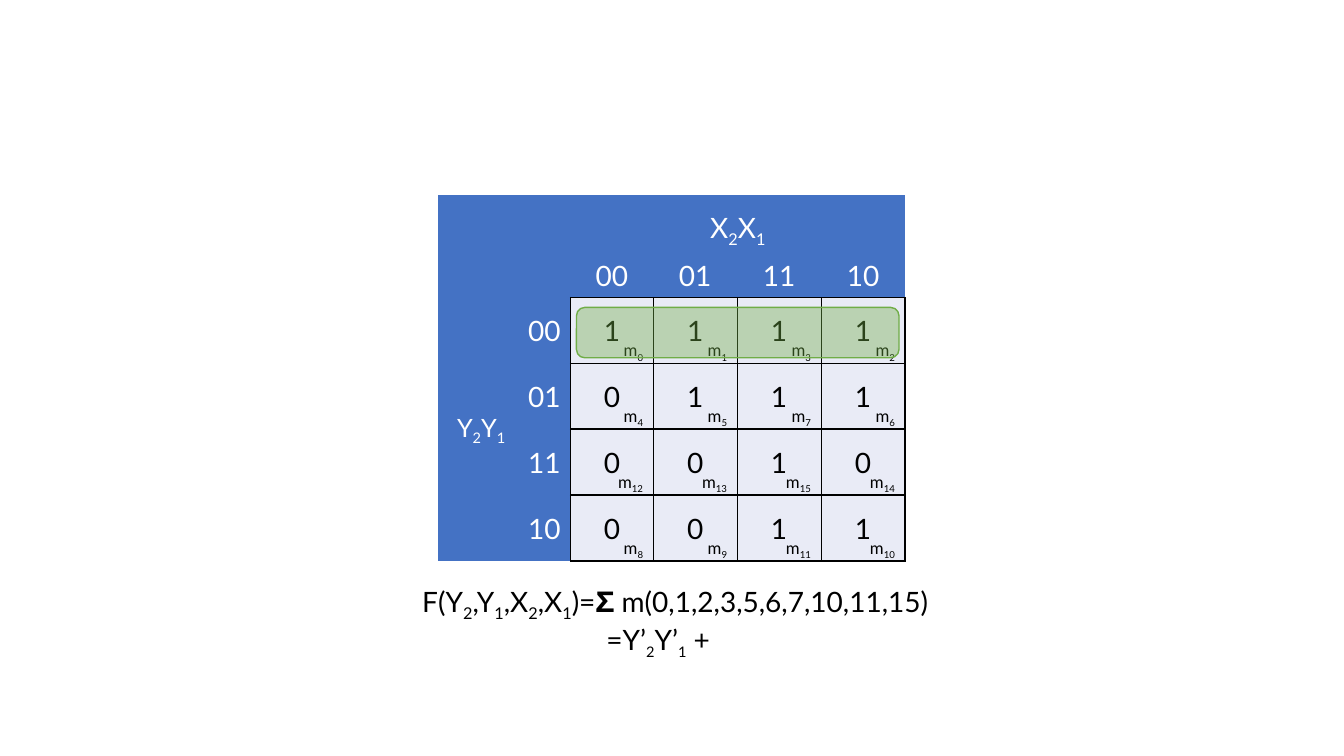
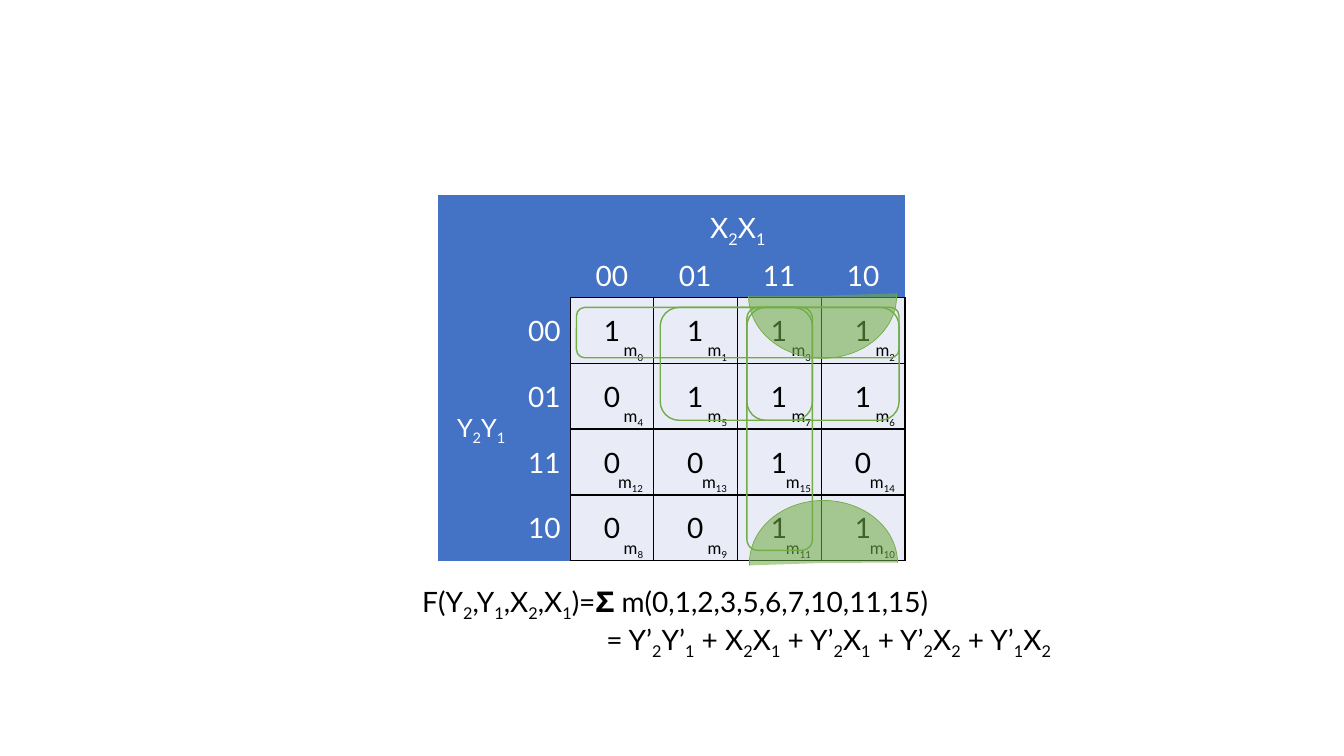
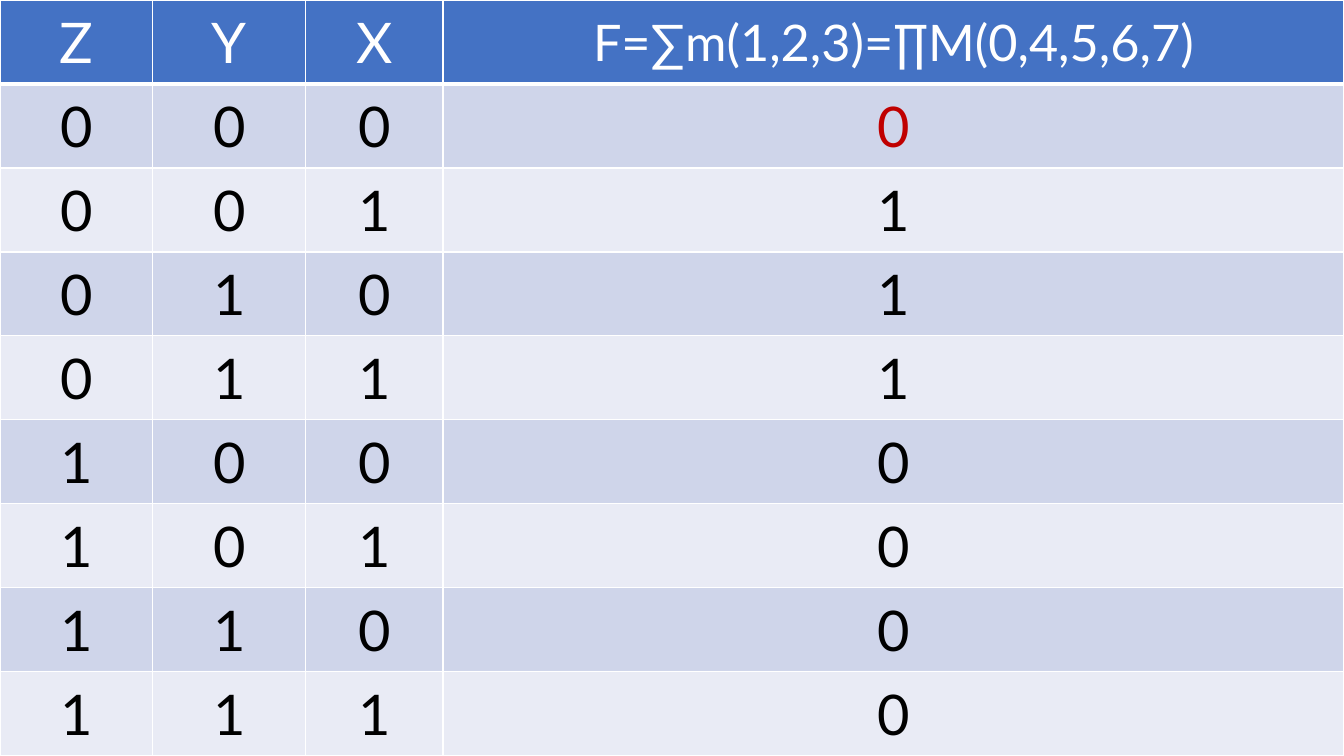
"""Build two Karnaugh map slides and one truth table slide."""
import itertools

import lxml.etree
import pptx
import pptx.dml.color
import pptx.enum.shapes
import pptx.enum.text
import pptx.oxml.ns
import pptx.util

Pt = pptx.util.Pt
RGBColor = pptx.dml.color.RGBColor
ALIGN = pptx.enum.text.PP_ALIGN
ANCHOR = pptx.enum.text.MSO_ANCHOR
PRESET = pptx.enum.shapes.MSO_SHAPE
qn = pptx.oxml.ns.qn

FONT = "Lato"
BLACK = RGBColor(0x00, 0x00, 0x00)
WHITE = RGBColor(0xFF, 0xFF, 0xFF)
BLUE = RGBColor(0x44, 0x72, 0xC4)
GREEN = RGBColor(0x70, 0xAD, 0x47)
RED = RGBColor(0xC0, 0x00, 0x00)
MAP_FILL = RGBColor(0xE9, 0xEB, 0xF6)
BAND_FILLS = (RGBColor(0xCF, 0xD5, 0xEA), RGBColor(0xE9, 0xEB, 0xF5))

# Text between bars is set as subscript.
GRAY_CODES = ("00", "01", "11", "10")
COLUMN_VARIABLES = "X|2|X|1|"
ROW_VARIABLES = "Y|2|Y|1|"
MINTERMS = ((0, 1, 3, 2), (4, 5, 7, 6), (12, 13, 15, 14), (8, 9, 11, 10))
ONES = (0, 1, 2, 3, 5, 6, 7, 10, 11, 15)
FUNCTION = "F(Y|2|,Y|1|,X|2|,X|1|)=𝚺 m(" + ",".join(map(str, ONES)) + ")"

ROW_LOOP = (411.8, 219.6, 230.4, 36)
COLUMN_LOOP = (533.5, 219.6, 46.8, 173.5)
LEFT_SQUARE_LOOP = (471.6, 219.6, 108.7, 80.6)
RIGHT_SQUARE_LOOP = (533.5, 219.6, 108.7, 80.6)
BOTTOM_ARC = (543.6, 349.2, 89.3, 105.8, 270)
TOP_ARC = (542.9, 158.4, 89.3, 105.8, 90)

MAPS = (
    {"result": "=Y’|2|Y’|1| +", "subscript_size": 18, "width": 409.7,
     "loops": (ROW_LOOP,), "loop_opacity": 39, "arcs": ()},
    {"result": "= Y’|2|Y’|1| + X|2|X|1| + Y’|2|X|1| + Y’|2|X|2| + Y’|1|X|2|",
     "subscript_size": 20, "width": 495.4,
     "loops": (ROW_LOOP, COLUMN_LOOP, LEFT_SQUARE_LOOP, RIGHT_SQUARE_LOOP),
     "loop_opacity": 0, "arcs": (BOTTOM_ARC, TOP_ARC)},
)

TRUTH_HEADER = ("Z", "Y", "X", "F=∑m(1,2,3)=∏M(0,4,5,6,7)")
TRUTH_ONES = (1, 2, 3)

MAP_LEFT, MAP_TOP = 407.6, 212.4
LABEL_WIDTHS, LABEL_HEIGHTS = (55, 39.4), (42, 31)
VALUE_WIDTHS, VALUE_HEIGHTS = (59, 60, 60, 60), (47,) * 4
TRUTH_WIDTHS, TRUTH_HEIGHTS = (109.2, 109.2, 98, 643.6), (60,) * 9


def write_text(paragraph, text, size=20, color=BLACK, align=ALIGN.LEFT, subscript_size=None):
    """Write text into a paragraph, with barred parts as subscripts."""
    paragraph.alignment = align
    for index, part in enumerate(text.split("|")):
        if not part:
            continue
        run = paragraph.add_run()
        run.text = part
        run.font.name = FONT
        run.font.color.rgb = color
        run.font.size = Pt(size)
        if index % 2:
            run.font.size = Pt(subscript_size or size)
            run.font._element.set("baseline", "-25000")


def add_plain_table(slide, left, top, widths, heights):
    """Add a table without style bands."""
    frame = slide.shapes.add_table(len(heights), len(widths), Pt(left), Pt(top),
                                   Pt(sum(widths)), Pt(sum(heights)))
    table = frame.table
    table.first_row = False
    table.horz_banding = False
    for column, width in zip(table.columns, widths):
        column.width = Pt(width)
    for row, height in zip(table.rows, heights):
        row.height = Pt(height)
    return table


def format_cell(cell, text="", fill=None, anchor=ANCHOR.MIDDLE, sides="LRTB",
                border=BLACK, bottom_width=1, **text_format):
    """Set the borders, fill and text of a cell."""
    properties = cell._tc.get_or_add_tcPr()
    for side in "LRTB":
        width = bottom_width if side == "B" else 1
        line = lxml.etree.SubElement(properties, qn(f"a:ln{side}"), w=str(Pt(width)))
        if side in sides:
            solid = lxml.etree.SubElement(line, qn("a:solidFill"))
            lxml.etree.SubElement(solid, qn("a:srgbClr"), val=str(border))
        else:
            lxml.etree.SubElement(line, qn("a:noFill"))
    if fill is None:
        cell.fill.background()
    else:
        cell.fill.solid()
        cell.fill.fore_color.rgb = fill
    cell.vertical_anchor = anchor
    if text:
        write_text(cell.text_frame.paragraphs[0], text, **text_format)


def add_green_shape(slide, preset, box, opacity, line_width):
    """Add a green outline with an optional translucent fill."""
    shape = slide.shapes.add_shape(preset, *map(Pt, box))
    shape.shadow.inherit = False
    shape.line.color.rgb = GREEN
    shape.line.width = Pt(line_width)
    if opacity:
        shape.fill.solid()
        shape.fill.fore_color.rgb = GREEN
        color = shape.fill._xPr.find(qn("a:solidFill"))[0]
        lxml.etree.SubElement(color, qn("a:alpha"), val=str(opacity * 1000))
    else:
        shape.fill.background()
    return shape


def add_value_table(slide):
    """Add the map with its blue headings and its values."""
    table = add_plain_table(slide, MAP_LEFT - sum(LABEL_WIDTHS), MAP_TOP - sum(LABEL_HEIGHTS),
                            LABEL_WIDTHS + VALUE_WIDTHS, LABEL_HEIGHTS + VALUE_HEIGHTS)
    table.cell(0, 2).merge(table.cell(0, 5))
    table.cell(2, 0).merge(table.cell(5, 0))
    labels = {(0, 2): COLUMN_VARIABLES, (2, 0): ROW_VARIABLES}
    for index, code in enumerate(GRAY_CODES, 2):
        labels[1, index] = labels[index, 1] = code
    for row, column in itertools.product(range(6), repeat=2):
        cell = table.cell(row, column)
        if row >= 2 and column >= 2:
            value = int(MINTERMS[row - 2][column - 2] in ONES)
            format_cell(cell, str(value), MAP_FILL, align=ALIGN.CENTER)
            continue
        is_heading = row < 2
        sides = "B" if row == 1 and column >= 2 else "R" if row >= 2 and column == 1 else ""
        format_cell(cell, labels.get((row, column), ""), BLUE, sides=sides, color=WHITE,
                    anchor=ANCHOR.BOTTOM if is_heading else ANCHOR.MIDDLE,
                    align=ALIGN.CENTER if is_heading else ALIGN.RIGHT,
                    size=18 if (row, column) == (2, 0) else 20)


def add_minterm_table(slide):
    """Add the minterm names over the map values."""
    table = add_plain_table(slide, MAP_LEFT, MAP_TOP, VALUE_WIDTHS, VALUE_HEIGHTS)
    for row, column in itertools.product(range(4), repeat=2):
        cell = table.cell(row, column)
        cell.margin_bottom = Pt(0)
        format_cell(cell, f"m|{MINTERMS[row][column]}|", anchor=ANCHOR.BOTTOM,
                    size=12, align=ALIGN.RIGHT)


def add_map_slide(slide, content):
    """Fill a slide with a map, its formula and its loops."""
    add_value_table(slide)
    formula = slide.shapes.add_textbox(Pt(294.5), Pt(414), Pt(content["width"]), Pt(55.4))
    formula.text_frame.word_wrap = True
    write_text(formula.text_frame.paragraphs[0], FUNCTION)
    result = formula.text_frame.add_paragraph()
    result._p.get_or_add_pPr().set("marL", str(Pt(131.5)))
    write_text(result, content["result"], subscript_size=content["subscript_size"])
    add_minterm_table(slide)
    for loop in content["loops"]:
        add_green_shape(slide, PRESET.ROUNDED_RECTANGLE, loop, content["loop_opacity"], 1)
    for *box, rotation in content["arcs"]:
        arc = add_green_shape(slide, PRESET.ARC, box, 57, 0.5)
        arc.rotation = rotation
        arc.adjustments[0] = 160.86
        arc.adjustments[1] = 53.83


def add_truth_slide(slide):
    """Fill a slide with the truth table."""
    table = add_plain_table(slide, 0, 0, TRUTH_WIDTHS, TRUTH_HEIGHTS)
    for column, heading in enumerate(TRUTH_HEADER):
        format_cell(table.cell(0, column), heading, BLUE, border=WHITE, bottom_width=3,
                    size=36 if column == 3 else 40, color=WHITE, align=ALIGN.CENTER)
    for index, inputs in enumerate(itertools.product((0, 1), repeat=3)):
        values = (*inputs, int(index in TRUTH_ONES))
        for column, value in enumerate(values):
            format_cell(table.cell(index + 1, column), str(value), BAND_FILLS[index % 2],
                        border=WHITE, size=40, align=ALIGN.CENTER,
                        color=RED if (index, column) == (0, 3) else BLACK)


def main():
    """Build and save the presentation."""
    presentation = pptx.Presentation()
    presentation.slide_width, presentation.slide_height = Pt(960), Pt(540)
    blank = presentation.slide_layouts[6]
    for content in MAPS:
        add_map_slide(presentation.slides.add_slide(blank), content)
    add_truth_slide(presentation.slides.add_slide(blank))
    presentation.save("out.pptx")


if __name__ == "__main__":
    main()
